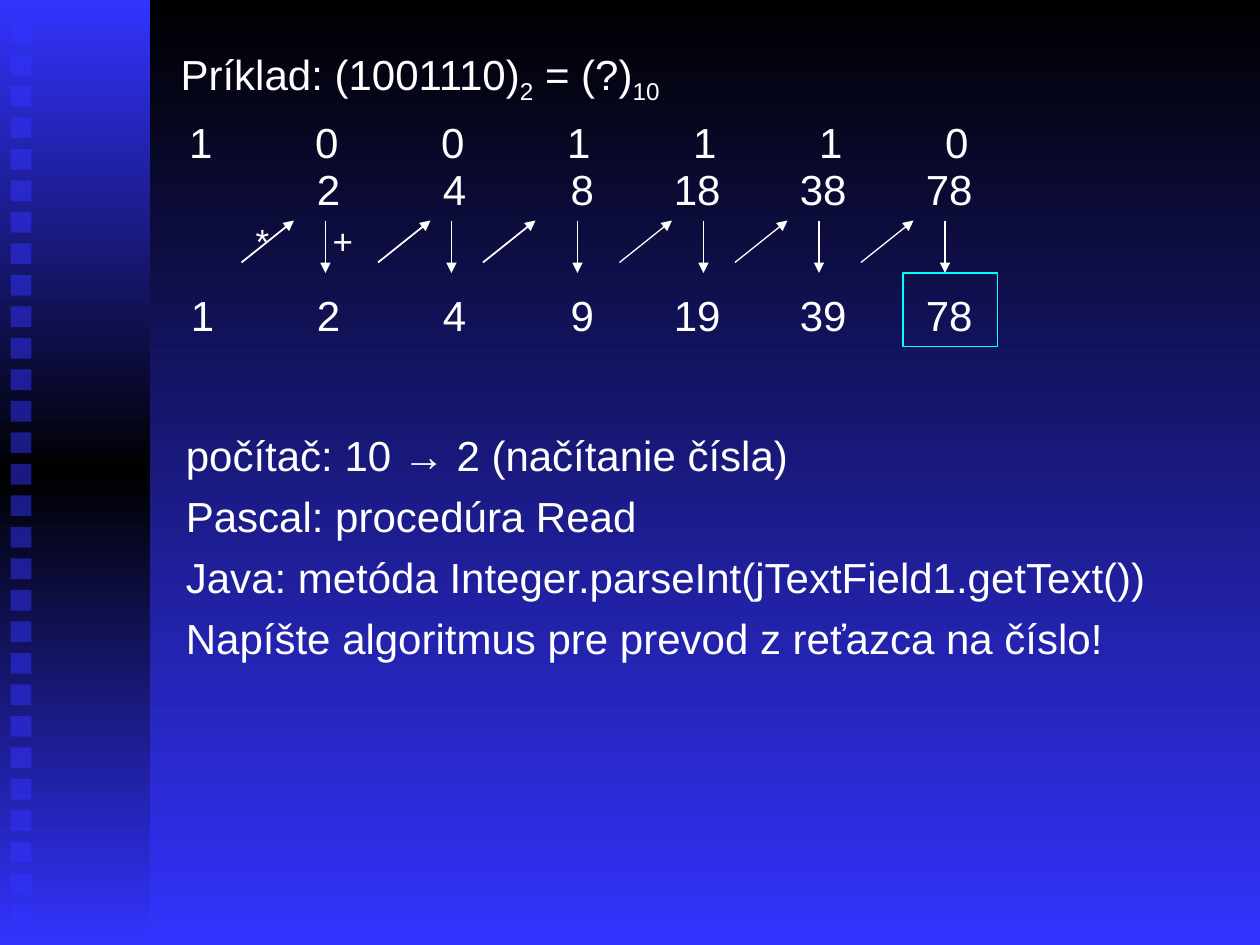
"""Build a slide on binary to decimal conversion by Horner's scheme."""
from copy import deepcopy

from lxml import etree
from pptx import Presentation
from pptx.dml.color import RGBColor
from pptx.enum import shapes, text
from pptx.oxml import ns
from pptx.util import Pt

COLOURS = {"night": "000000", "blue": "3333FF", "ink": "FFFFFF", "result": "00FFFF"}
COLUMN = 72
ARROW_TOP, ARROW_BOTTOM = 126, 156


def colour(name):
    return RGBColor.from_string(COLOURS[name])


def add_xml(parent, tag, **attributes):
    return etree.SubElement(parent, ns.qn(tag), attributes)


def paint_gradient(fill, names):
    fill.gradient()
    fill.gradient_angle = 270
    first = fill.gradient_stops[0]._gs
    for _ in names[2:]:
        first.addnext(deepcopy(first))
    for index, (stop, name) in enumerate(zip(fill.gradient_stops, names)):
        stop.color.rgb = colour(name)
        stop.position = index / (len(names) - 1)


def style_paragraph(paragraph, size=24, before=0):
    paragraph.alignment = text.PP_ALIGN.LEFT
    paragraph.space_before = Pt(before)
    paragraph.font.size = Pt(size)
    paragraph.font.name = "Arial"
    paragraph.font.color.rgb = colour("ink")


def place(holder, left, top, width, height):
    holder.left, holder.top = Pt(left), Pt(top)
    holder.width, holder.height = Pt(width), Pt(height)
    frame = holder.text_frame
    frame.word_wrap = True
    frame.auto_size = text.MSO_AUTO_SIZE.SHAPE_TO_FIT_TEXT
    frame.vertical_anchor = text.MSO_ANCHOR.TOP
    return frame


def add_title(slide):
    frame = place(slide.shapes.title, 96, 24, 570, 36)
    heading = frame.paragraphs[0]
    for part, is_base in (("Príklad: (1001110)", False), ("2", True),
                          (" = (?)", False), ("10", True)):
        run = heading.add_run()
        run.text = part
        if is_base:
            run._r.get_or_add_rPr().set("baseline", "-25000")
    style_paragraph(heading)


def add_notes_list(slide, lines):
    frame = place(slide.placeholders[1], 99, 242, 570, 142)
    for index, line in enumerate(lines):
        item = frame.paragraphs[0] if index == 0 else frame.add_paragraph()
        item.text = line
        properties = item._p.get_or_add_pPr()
        properties.set("marL", "0")
        properties.set("indent", "0")
        add_xml(properties, "a:buNone")
        style_paragraph(item, before=6 if index else 0)


def add_number(slide, left, top, value, size=24, width=42, height=36):
    frame = place(slide.shapes.add_textbox(0, 0, 0, 0), left, top, width, height)
    number = frame.paragraphs[0]
    number.text = value
    style_paragraph(number, size)


def add_row(slide, left, top, values):
    for column, value in enumerate(values):
        add_number(slide, left + column * COLUMN, top, value)


def add_arrow(slide, start, end, weight):
    arrow = slide.shapes.add_connector(
        shapes.MSO_CONNECTOR.STRAIGHT, *(Pt(value) for value in (*start, *end)))
    arrow.line.color.rgb = colour("ink")
    arrow.line.width = Pt(weight)
    add_xml(arrow.line._get_or_add_ln(), "a:tailEnd", type="triangle")
    add_xml(arrow._element.spPr, "a:effectLst")


def add_rectangle(slide, left, top, width, height):
    rectangle = slide.shapes.add_shape(
        shapes.MSO_SHAPE.RECTANGLE, Pt(left), Pt(top), Pt(width), Pt(height))
    rectangle.shadow.inherit = False
    rectangle.line.fill.background()
    return rectangle


def add_sidebar(slide):
    band = add_rectangle(slide, 0, 0, 85.7, 540)
    paint_gradient(band.fill, ["blue", "night", "blue"])
    for index in range(29):
        square = add_rectangle(slide, 6, 13 + 18 * index, 12, 12)
        square.fill.solid()
        square.fill.fore_color.rgb = colour("blue")
        tint = square._element.spPr.find(".//" + ns.qn("a:srgbClr"))
        add_xml(tint, "a:alpha", val="50000")


def add_scheme(slide):
    add_row(slide, 101, 63, "1001110")
    for top, single_digits, double_digits in (
            (90, ["2", "4"], ["18", "38", "78"]),
            (162, ["2", "4"], ["19", "39", "78"])):
        add_row(slide, 174, top, single_digits)
        add_row(slide, 378, top, double_digits)
    add_number(slide, 102, 162, "1")
    add_number(slide, 319, 90, "8")
    add_number(slide, 319, 162, "9")

    for index, left in enumerate((138, 216, 276, 354, 420, 492)):
        add_arrow(slide, (left, 150), (left + 30, ARROW_TOP), 1 if index < 3 else 0.75)
    for index, left in enumerate((186, 258, 330, 402, 468, 540)):
        add_arrow(slide, (left, ARROW_TOP), (left, ARROW_BOTTOM), 1 if index < 2 else 0.75)
    for left, sign in ((139, "*"), (183, "+")):
        add_number(slide, left, 122, sign, size=20, width=32, height=32)

    result_frame = add_rectangle(slide, 516, ARROW_BOTTOM, 54, 42)
    result_frame.fill.background()
    result_frame.line.color.rgb = colour("result")
    result_frame.line.width = Pt(0.75)


def main():
    deck = Presentation()
    deck.slide_width, deck.slide_height = Pt(720), Pt(540)
    slide = deck.slides.add_slide(deck.slide_layouts[1])
    paint_gradient(slide.background.fill, ["night", "blue"])
    add_sidebar(slide)
    add_title(slide)
    add_scheme(slide)
    add_notes_list(slide, [
        "počítač: 10 → 2 (načítanie čísla)",
        "Pascal: procedúra Read",
        "Java: metóda Integer.parseInt(jTextField1.getText())",
        "Napíšte algoritmus pre prevod z reťazca na číslo!",
    ])
    deck.save("out.pptx")


if __name__ == "__main__":
    main()
